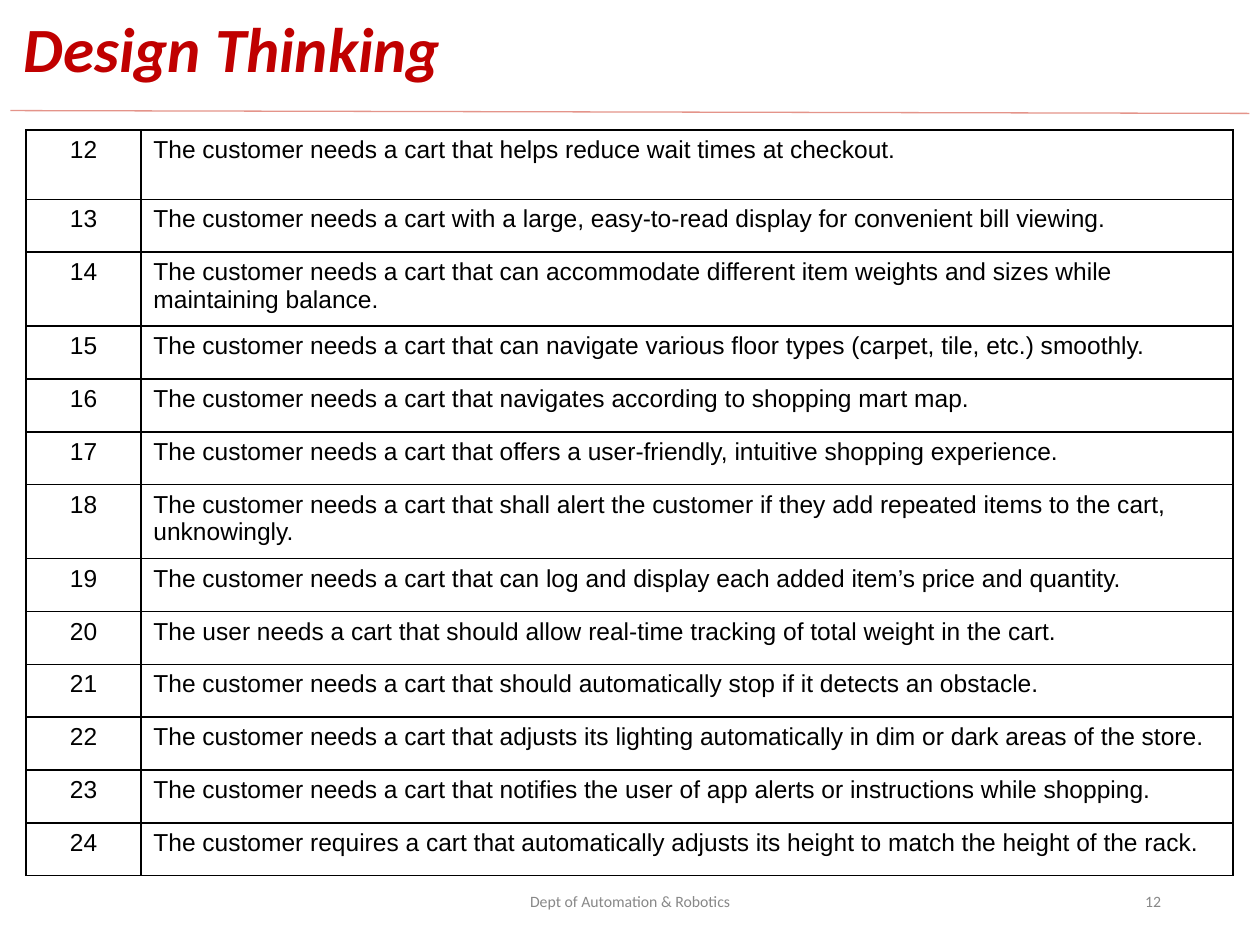
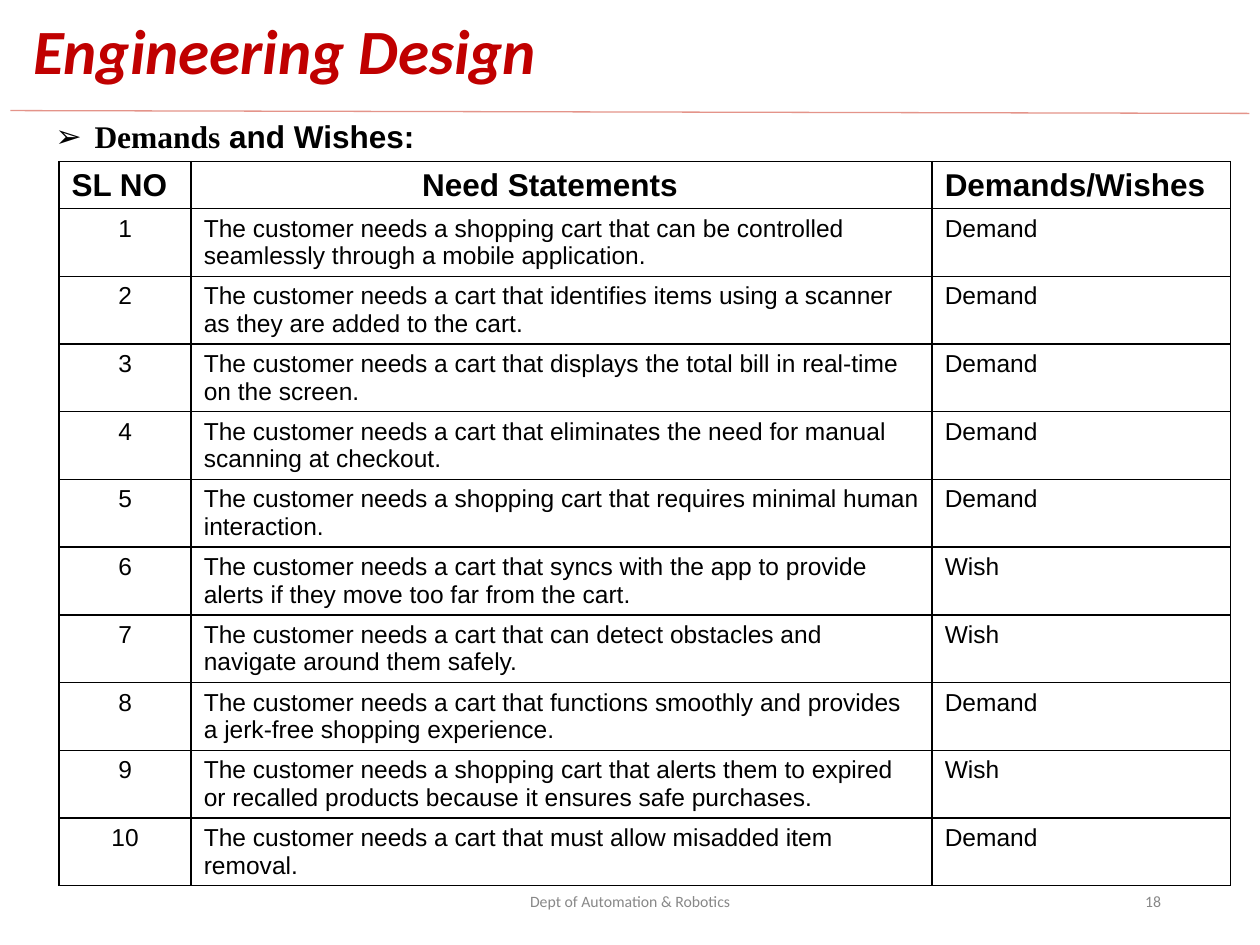
from lxml import etree
from pptx import Presentation
from pptx.dml.color import RGBColor
from pptx.enum import shapes, text
from pptx.oxml import ns
from pptx.util import Pt

RED = RGBColor(0xC0, 0x00, 0x00)
ROSE = RGBColor(0xE4, 0x94, 0x8A)
GRAY = RGBColor(0x88, 0x88, 0x88)
BLACK = RGBColor(0x00, 0x00, 0x00)
LEFT, CENTER, RIGHT = text.PP_ALIGN.LEFT, text.PP_ALIGN.CENTER, text.PP_ALIGN.RIGHT

TITLE_ONLY, TITLE_AND_BODY = 5, 1
FOOTER = "Dept of Automation & Robotics"

CART_NEEDS = [
    "The customer needs a cart that helps reduce wait times at checkout.",
    "The customer needs a cart with a large, easy-to-read display for convenient bill viewing.",
    "The customer needs a cart that can accommodate different item weights and sizes while maintaining balance.",
    "The customer needs a cart that can navigate various floor types (carpet, tile, etc.) smoothly.",
    "The customer needs a cart that navigates according to shopping mart map.",
    "The customer needs a cart that offers a user-friendly, intuitive shopping experience.",
    "The customer needs a cart that shall alert the customer if they add repeated items to the cart, unknowingly.",
    "The customer needs a cart that can log and display each added item’s price and quantity.",
    "The user needs a cart that should allow real-time tracking of total weight in the cart.",
    "The customer needs a cart that should automatically stop if it detects an obstacle.",
    "The customer needs a cart that adjusts its lighting automatically in dim or dark areas of the store.",
    "The customer needs a cart that notifies the user of app alerts or instructions while shopping.",
    "The customer requires a cart that automatically adjusts its height to match the height of the rack.",
]
RATED_NEEDS = [
    ("The customer needs a shopping cart that can be controlled seamlessly through a mobile application.", "Demand"),
    ("The customer needs a cart that identifies items using a scanner as they are added to the cart.", "Demand"),
    ("The customer needs a cart that displays the total bill in real-time on the screen.", "Demand"),
    ("The customer needs a cart that eliminates the need for manual scanning at checkout.", "Demand"),
    ("The customer needs a shopping cart that requires minimal human interaction.", "Demand"),
    ("The customer needs a cart that syncs with the app to provide alerts if they move too far from the cart.", "Wish"),
    ("The customer needs a cart that can detect obstacles and navigate around them safely.", "Wish"),
    ("The customer needs a cart that functions smoothly and provides a jerk-free shopping experience.", "Demand"),
    ("The customer needs a shopping cart that alerts them to expired or recalled products "
     "because it ensures safe purchases.", "Wish"),
    ("The customer needs a cart that must allow misadded item removal.", "Demand"),
]

SLIDES = [
    dict(layout=TITLE_ONLY, title="Design Thinking", title_at=(6.3, 9), number="12",
         table_at=(15, 74.2), columns=[65.5, 624.2], header=None,
         heights=[39.7, 30.2, 42.3] + [30.2] * 3 + [42.3] + [30.2] * 6,
         rows=[(str(number), need) for number, need in enumerate(CART_NEEDS, 12)]),
    dict(layout=TITLE_AND_BODY, title="Engineering Design", title_at=(11.8, 10), number="18",
         table_at=(33.7, 92.3), columns=[75.6, 423.4, 170.6],
         header=("SL NO", "Need Statements", "Demands/Wishes"),
         heights=[26.9] + [38.7] * 10,
         rows=[(str(number), *need) for number, need in enumerate(RATED_NEEDS, 1)]),
]


def write(paragraph, words, size=14, font="Arial", color=BLACK, bold=False, italic=False, align=LEFT):
    """Append a formatted run to a paragraph."""
    paragraph.alignment = align
    run = paragraph.add_run()
    run.text = words
    run.font.size, run.font.name = Pt(size), font
    run.font.bold, run.font.italic = bold, italic
    run.font.color.rgb = color


def add_borders(cell, width=1):
    """Draw a black line on all four sides of a table cell."""
    properties = cell._tc.get_or_add_tcPr()
    for side in ("lnL", "lnR", "lnT", "lnB"):
        line = etree.SubElement(properties, ns.qn("a:" + side), w=str(Pt(width)))
        fill = etree.SubElement(line, ns.qn("a:solidFill"))
        etree.SubElement(fill, ns.qn("a:srgbClr"), val=str(BLACK))


presentation = Presentation()
presentation.slide_width, presentation.slide_height = Pt(720), Pt(540)

for content in SLIDES:
    slide = presentation.slides.add_slide(presentation.slide_layouts[content["layout"]])

    rule = slide.shapes.add_connector(shapes.MSO_CONNECTOR.STRAIGHT, Pt(6), Pt(63.2), Pt(714), Pt(64.8))
    rule.line.color.rgb, rule.line.width = ROSE, Pt(0.75)
    etree.SubElement(rule._element.spPr, ns.qn("a:effectLst"))

    title = slide.shapes.title
    title.left, title.top = (Pt(value) for value in content["title_at"])
    title.width, title.height = Pt(620.6), Pt(41.8)
    title.text_frame.auto_size = text.MSO_AUTO_SIZE.NONE
    title.text_frame.vertical_anchor = text.MSO_ANCHOR.MIDDLE
    heading = title.text_frame.paragraphs[0]
    heading.line_spacing = 0.9
    write(heading, content["title"], size=36, font="Calibri", color=RED, bold=True, italic=True)

    for words, left, width, align in ((FOOTER, 238.5, 243, CENTER), (content["number"], 508.5, 162, RIGHT)):
        footer = slide.shapes.add_textbox(Pt(left), Pt(500.5), Pt(width), Pt(28.8)).text_frame
        footer.word_wrap = True
        footer.vertical_anchor = text.MSO_ANCHOR.MIDDLE
        write(footer.paragraphs[0], words, size=9, font="Calibri", color=GRAY, align=align)

    columns, heights, header = content["columns"], content["heights"], content["header"]
    left, top = content["table_at"]
    table = slide.shapes.add_table(len(heights), len(columns), Pt(left), Pt(top),
                                   Pt(sum(columns)), Pt(sum(heights))).table
    table.first_row = table.horz_banding = False
    for column, width in zip(table.columns, columns):
        column.width = Pt(width)
    for row, height in zip(table.rows, heights):
        row.height = Pt(height)
    for row, entries in zip(table.rows, ([header] if header else []) + content["rows"]):
        for index, (cell, words) in enumerate(zip(row.cells, entries)):
            add_borders(cell)
            cell.fill.background()
            cell.margin_bottom = Pt(0)  # keeps the rows at their set heights
            if entries is header:
                write(cell.text_frame.paragraphs[0], words, size=18, bold=True)
            else:
                write(cell.text_frame.paragraphs[0], words, align=LEFT if index else CENTER)
    if header:
        table.cell(0, 1).margin_left = Pt(132)

    if content["layout"] == TITLE_AND_BODY:
        body = slide.placeholders[1]
        body.left, body.top, body.width, body.height = Pt(24.5), Pt(63.4), Pt(278), Pt(28.8)
        body.text_frame.auto_size = text.MSO_AUTO_SIZE.NONE
        subheading = body.text_frame.paragraphs[0]
        properties = subheading._p.get_or_add_pPr()
        properties.set("marL", str(Pt(22.3)))
        properties.set("indent", str(Pt(-22.3)))
        bullet_color = etree.SubElement(properties, ns.qn("a:buClr"))
        etree.SubElement(bullet_color, ns.qn("a:srgbClr"), val=str(BLACK))
        etree.SubElement(properties, ns.qn("a:buChar"), char="➢")
        subheading.space_before = Pt(0)
        write(subheading, "Demands", size=18, font="Times New Roman", bold=True)
        write(subheading, " and Wishes:", size=18, bold=True)

presentation.save("out.pptx")
